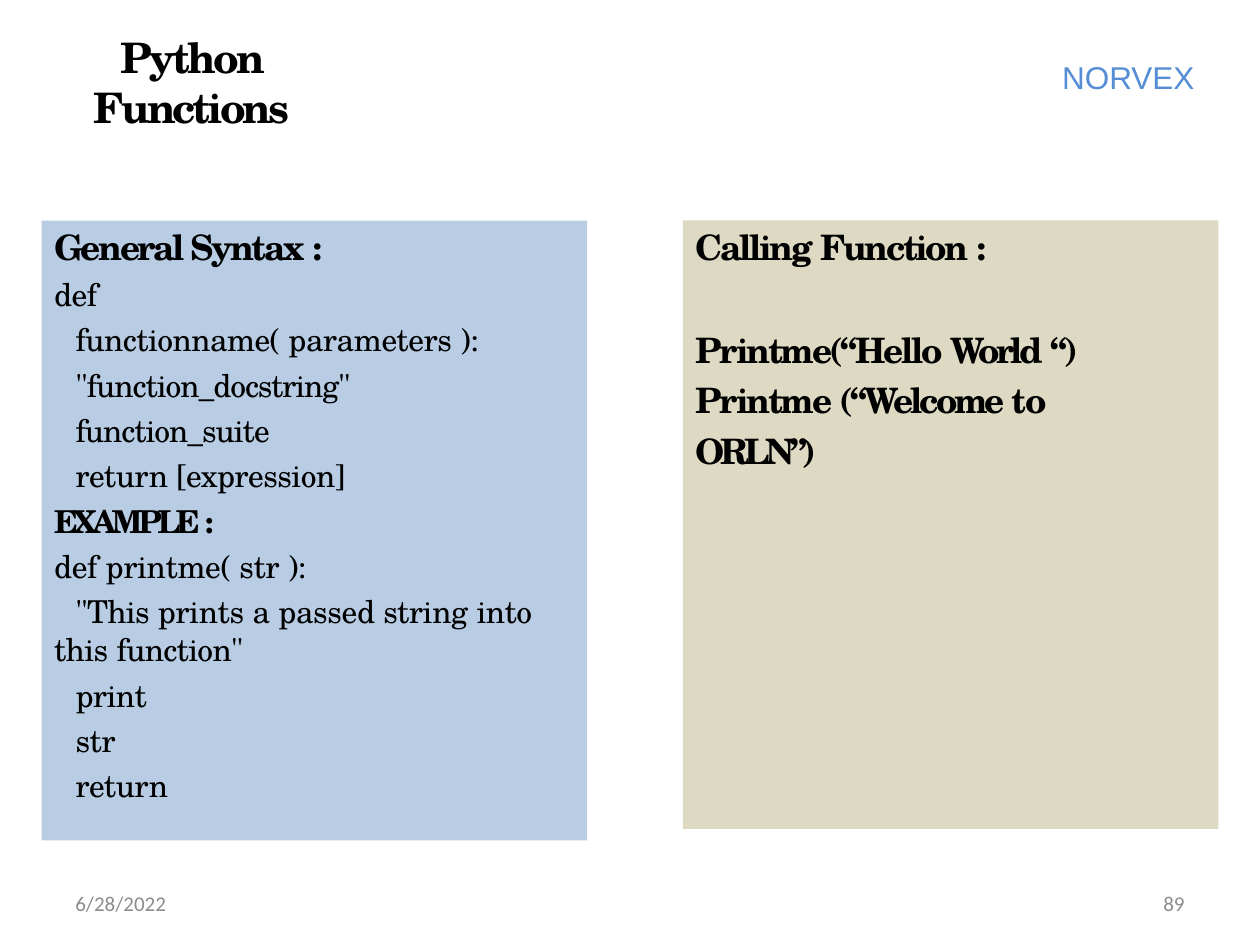
from pptx import Presentation
from pptx.dml.color import RGBColor
from pptx.enum.shapes import MSO_SHAPE
from pptx.enum.text import MSO_ANCHOR, PP_ALIGN
from pptx.util import Inches, Pt

LEFT, CENTER, RIGHT = PP_ALIGN.LEFT, PP_ALIGN.CENTER, PP_ALIGN.RIGHT
TOP, MIDDLE = MSO_ANCHOR.TOP, MSO_ANCHOR.MIDDLE
RECTANGLE = MSO_SHAPE.RECTANGLE

BLACK = RGBColor(0x00, 0x00, 0x00)
GRAY = RGBColor(0x8C, 0x8C, 0x8C)
BLUE = RGBColor(0x55, 0x8E, 0xD5)
PALE_BLUE = RGBColor(0xB8, 0xCD, 0xE4)
SAND = RGBColor(0xDD, 0xD9, 0xC3)

SERIF = "TeX Gyre Schola"
WIDTH, HEIGHT = 10, 7.5
EDGE, STEP = 0.1, 0.17
INNER = EDGE + STEP

TITLE = {"name": SERIF, "size": Pt(24), "bold": True}
HEADING = {"name": SERIF, "size": Pt(20), "bold": True}
STRONG = {"name": SERIF, "size": Pt(18), "bold": True}
CODE = {"name": SERIF, "size": Pt(18), "bold": False}
BRAND = {"name": "Arial", "size": Pt(18)}
FOOTER = {"name": "Calibri", "size": Pt(12)}

SYNTAX = [
    (HEADING, {"left": EDGE, "before": 3}, [[("General Syntax ", -1.4), (":", -1.8)]]),
    (CODE, {"left": INNER, "first": -STEP, "line": 1.2}, [
        [("def", -0.3)],
        [("functionname( ", -0.3), ("parameters ", -0.2), ("):", -0.4)],
        [('"function_docstring"', -0.6)],
        [("function_suite", -0.6)],
    ]),
    (CODE, {"left": INNER, "before": 4.3}, [[("return", -0.2), (" [expression]", -0.3)]]),
    (STRONG, {"left": EDGE, "before": 4.3}, [[("EXAMPLE ", -2.5), (":", -1.6)]]),
    (CODE, {"left": EDGE, "before": 4.3},
     [[("def printme( ", -0.2), ("str ", -0.1), ("):", -0.5)]]),
    (CODE, {"left": EDGE, "first": STEP, "before": 4.3}, [[
        ('"This ', -0.4), ("prints ", -0.2), ("a ", -0.3), ("passed string ", -0.2),
        ("into this ", -0.3), ('function"', -0.4),
    ]]),
    (CODE, {"left": INNER, "line": 1.2},
     [[("print", -0.3)], [("str", -0.1)], [("return", -0.2)]]),
]

CALLING = [
    (HEADING, {"left": EDGE, "before": 3},
     [[("Calling ", -1.4), ("Function ", -1.5), (":", -1.8)]]),
    (HEADING, {"left": EDGE, "before": 30, "line": 1.2}, [
        [("Printme(“Hello ", -1.4), ("World ", -1.9), ("“)", -1.6)],
        [("Printme ", -1.4), ("(“Welcome ", -1.8), ("to", -1.1)],
        [("ORLN”)", -2.5)],
    ]),
]


def set_all(target, values):
    for name, value in values.items():
        setattr(target, name, value)


def write_para(para, look, color, layout, lines):
    set_all(para, {
        "alignment": layout.get("align", LEFT),
        "space_before": Pt(layout.get("before", 0)),
        "line_spacing": layout.get("line", 1.0),
    })
    properties = para._p.get_or_add_pPr()
    properties.set("marL", str(Inches(layout.get("left", 0))))
    properties.set("indent", str(Inches(layout.get("first", 0))))
    for index, line in enumerate(lines):
        if index:
            para.add_line_break()
        for text, tracking in line:
            span = para.add_run()
            span.text = text
            set_all(span.font, look)
            span.font.color.rgb = color
            span._r.get_or_add_rPr().set("spc", str(round(tracking * 100)))


def fill_frame(frame, paragraphs, color=BLACK, anchor=TOP, side=0, top=0.04):
    set_all(frame, {
        "word_wrap": True, "vertical_anchor": anchor,
        "margin_left": Inches(side), "margin_right": Inches(side),
        "margin_top": Inches(top), "margin_bottom": 0,
    })
    for index, (look, layout, lines) in enumerate(paragraphs):
        para = frame.add_paragraph() if index else frame.paragraphs[0]
        write_para(para, look, color, layout, lines)


def add_label(page, box, look, layout, spans, **options):
    label = page.shapes.add_textbox(*map(Inches, box))
    fill_frame(label.text_frame, [(look, layout, [spans])], **options)


def add_panel(page, box, fill, paragraphs):
    panel = page.shapes.add_shape(RECTANGLE, *map(Inches, box))
    panel.shadow.inherit = False
    panel.fill.solid()
    panel.fill.fore_color.rgb = fill
    panel.line.fill.background()
    fill_frame(panel.text_frame, paragraphs)


def add_header(page):
    add_label(page, (0.17, 0.43, 2.7, 0.43), TITLE, {"align": CENTER, "before": 1},
              [("Python ", -1.6), ("Functions", -1.8)], anchor=MIDDLE, top=0.01)
    add_label(page, (8.42, 0.45, 1.4, 0.33), BRAND, {"left": 0.01, "before": 1},
              [("NORVEX", 0)], color=BLUE, top=0.01)


def add_footer(page, margin=0.5, width=2.33):
    cells = [(margin, LEFT, "6/28/2022"), (WIDTH - margin - width, RIGHT, "89")]
    for left, align, text in cells:
        add_label(page, (left, 6.95, width, 0.4), FOOTER, {"align": align},
                  [(text, 0)], color=GRAY, anchor=MIDDLE, side=0.1)


def main():
    deck = Presentation()
    deck.slide_width, deck.slide_height = Inches(WIDTH), Inches(HEIGHT)
    page = deck.slides.add_slide(deck.slide_layouts[6])
    add_header(page)
    add_panel(page, (0.33, 1.75, 4.33, 4.92), PALE_BLUE, SYNTAX)
    add_panel(page, (5.42, 1.75, 4.25, 4.83), SAND, CALLING)
    add_footer(page)
    deck.save("out.pptx")


if __name__ == "__main__":
    main()
